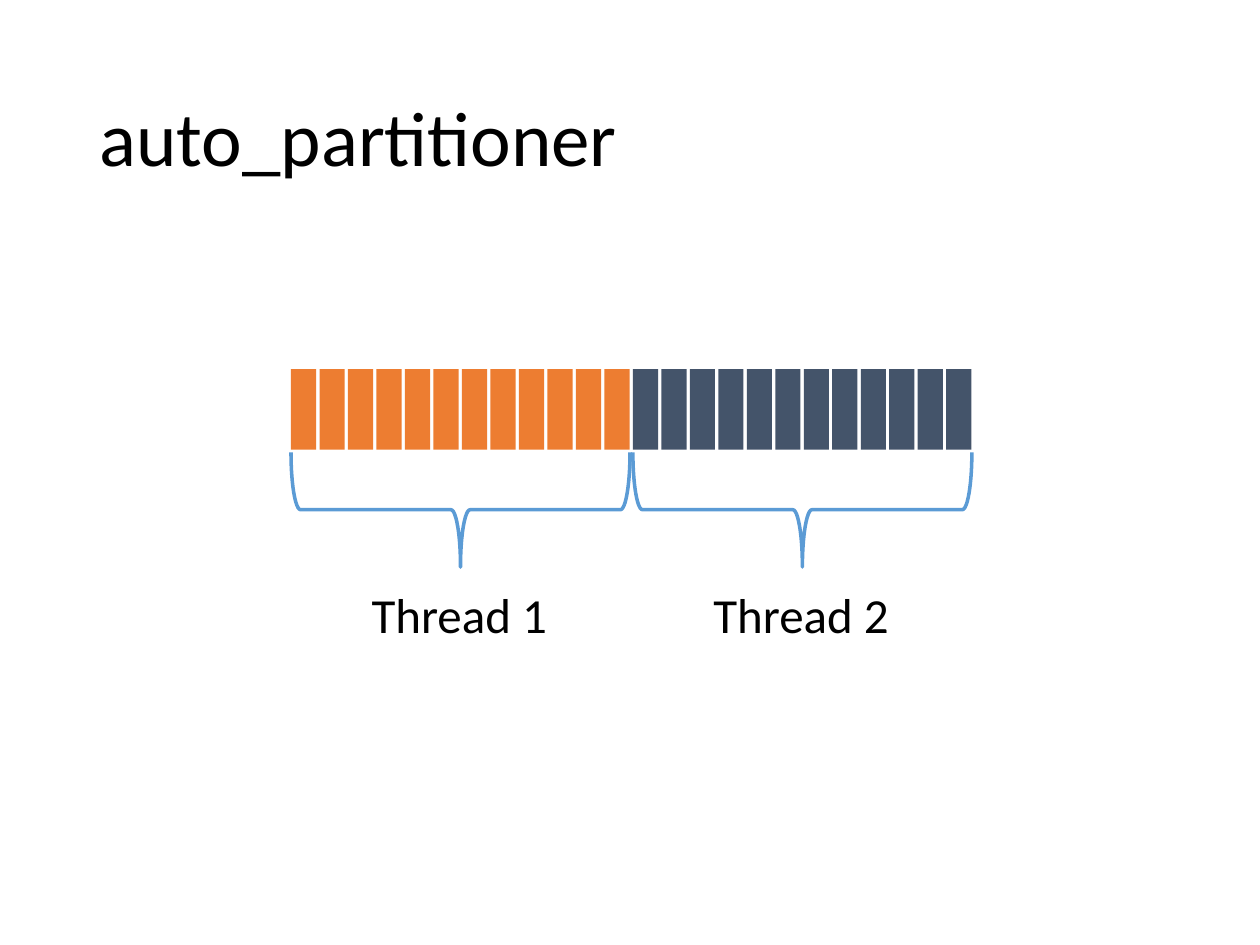
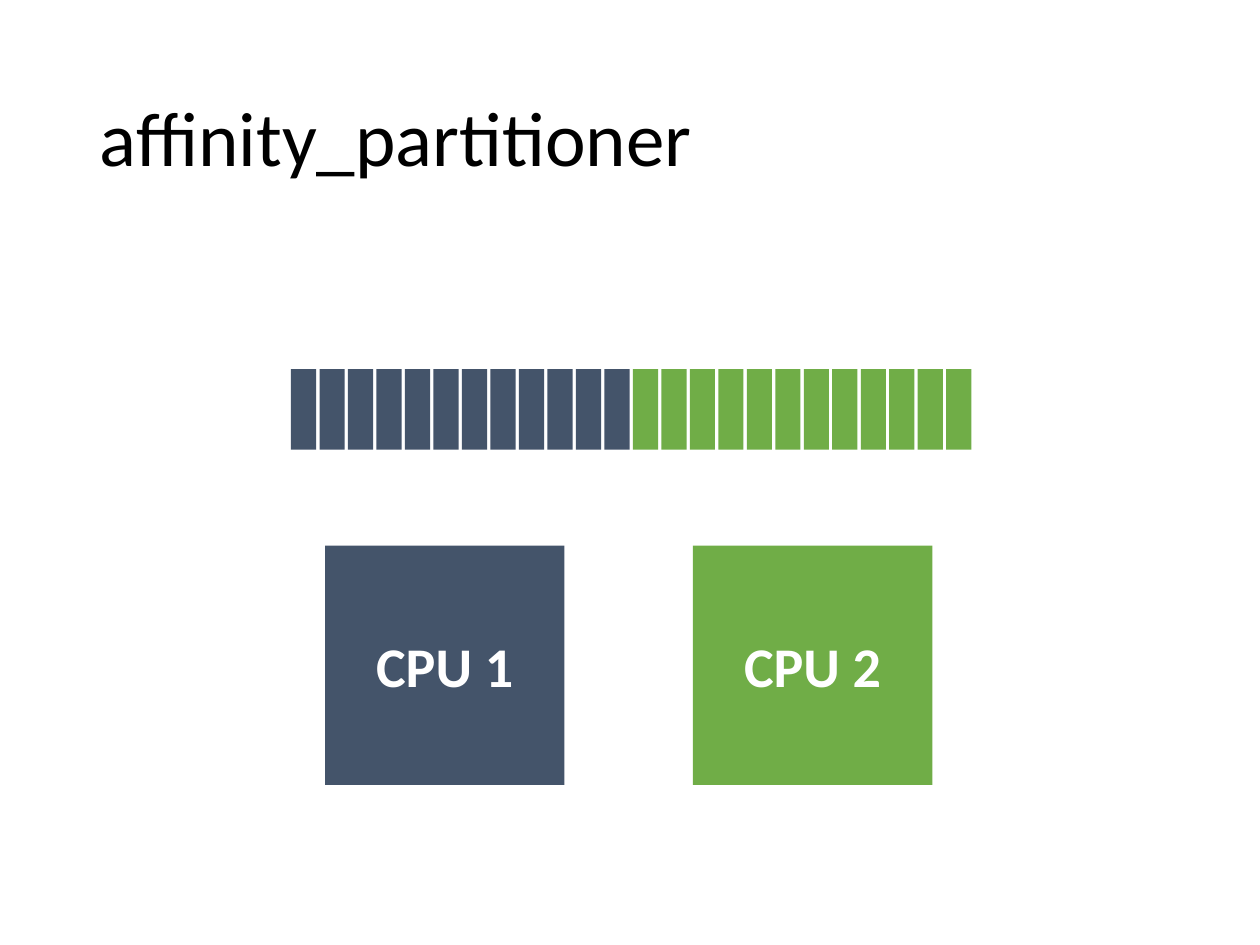
"""Build two slides on how partitioners split a range of work."""
from dataclasses import dataclass

from pptx import Presentation
from pptx.dml.color import RGBColor
from pptx.enum.shapes import MSO_SHAPE
from pptx.enum.text import MSO_ANCHOR, MSO_AUTO_SIZE, PP_ALIGN
from pptx.util import Inches, Pt


@dataclass(frozen=True)
class Theme:
    font: str = "Calibri"
    black: str = "000000"
    white: str = "FFFFFF"
    orange: str = "ED7D31"
    navy: str = "44546A"
    green: str = "70AD47"
    blue: str = "5B9BD5"
    title: int = 44
    label: int = 28
    cpu: int = 32


def write(frame, text, size, color, align=PP_ALIGN.LEFT, bold=False):
    para = frame.paragraphs[0]
    para.alignment = align
    run = para.add_run()
    run.text = text
    run.font.name = theme.font
    run.font.size = Pt(size)
    run.font.bold = bold
    run.font.color.rgb = RGBColor.from_string(color)
    return para


def block(slide, left, top, width, height, color):
    rect = slide.shapes.add_shape(
        MSO_SHAPE.RECTANGLE, Inches(left), Inches(top), Inches(width), Inches(height))
    rect.shadow.inherit = False
    rect.fill.solid()
    rect.fill.fore_color.rgb = RGBColor.from_string(color)
    rect.line.fill.background()
    return rect


theme = Theme()
deck = Presentation()
deck.slide_width = Inches(10)
deck.slide_height = Inches(7.5)

half = 12
start = 2.31
pitch = (7.51 - start) / (2 * half - 1)

slides = []
for name, colors in (
    ("auto_partitioner", (theme.orange, theme.navy)),
    ("affinity_partitioner", (theme.navy, theme.green)),
):
    slide = deck.slides.add_slide(deck.slide_layouts[5])
    slides.append(slide)
    title = slide.shapes.title
    title.left, title.top = Inches(0.69), Inches(0.4)
    title.width, title.height = Inches(8.62), Inches(1.45)
    frame = title.text_frame
    frame.auto_size = MSO_AUTO_SIZE.NONE
    frame.vertical_anchor = MSO_ANCHOR.MIDDLE
    write(frame, name, theme.title, theme.black).line_spacing = 0.9
    for i in range(2 * half):
        block(slide, start + i * pitch, 2.93, 0.2, 0.64, colors[i // half])

auto, affine = slides

for i in range(2):
    shift = i * half * pitch
    brace = auto.shapes.add_shape(
        MSO_SHAPE.LEFT_BRACE, Inches(3.2 + shift), Inches(2.7), Inches(0.91), Inches(2.69))
    brace.rotation = 270
    brace.shadow.inherit = False
    brace.fill.background()
    brace.line.color.rgb = RGBColor.from_string(theme.blue)
    brace.line.width = Pt(2)

for i in range(2):
    label = auto.shapes.add_textbox(
        Inches(2.85 + i * half * pitch), Inches(4.59), Inches(1.61), Inches(0.57))
    label.text_frame.word_wrap = False
    label.text_frame.auto_size = MSO_AUTO_SIZE.SHAPE_TO_FIT_TEXT
    write(label.text_frame, f"Thread {i + 1}", theme.label, theme.black)

for i, color in enumerate((theme.navy, theme.green)):
    cpu = block(affine, 2.58 + i * 2.92, 4.33, 1.9, 1.9, color)
    cpu.text_frame.vertical_anchor = MSO_ANCHOR.MIDDLE
    write(cpu.text_frame, f"CPU {i + 1}", theme.cpu, theme.white, PP_ALIGN.CENTER, True)

deck.save("out.pptx")
